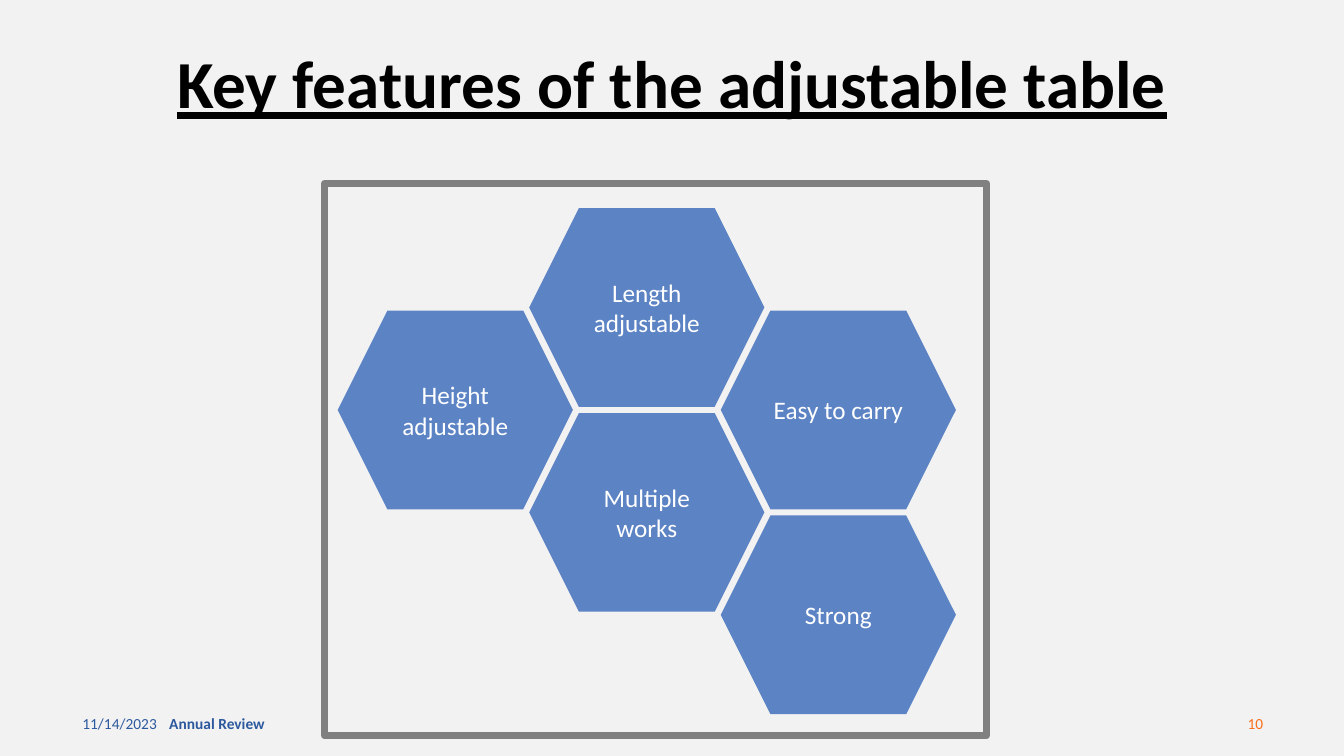
from pptx import Presentation
from pptx.dml.color import RGBColor
from pptx.enum.shapes import MSO_SHAPE
from pptx.enum.text import MSO_ANCHOR, PP_ALIGN
from pptx.util import Pt

COLORS = {
    "background": "F2F2F2",
    "title": "000000",
    "hexagon": "5C83C4",
    "label": "FFFFFF",
    "frame": "808080",
    "footer": "2C599D",
    "number": "FA6F1A",
}


def color(name):
    return RGBColor.from_string(COLORS[name])


def write(shape, text, size, color_name, align, bold=False):
    frame = shape.text_frame
    frame.word_wrap = True
    frame.vertical_anchor = MSO_ANCHOR.MIDDLE
    frame.text = text
    para = frame.paragraphs[0]
    para.alignment = align
    span = para.runs[0]
    span.font.name = "Calibri"
    span.font.size = Pt(size)
    span.font.bold = bold
    span.font.color.rgb = color(color_name)
    return para


deck = Presentation()
deck.slide_width, deck.slide_height = Pt(960), Pt(540)
page = deck.slides.add_slide(deck.slide_layouts[6])
page.background.fill.solid()
page.background.fill.fore_color.rgb = color("background")

# Footer
footers = [
    ("11/14/2023", 51.8, 216, "footer", PP_ALIGN.LEFT, False),
    ("Annual Review", 113.8, 324, "footer", PP_ALIGN.LEFT, True),
    ("10", 693.4, 216, "number", PP_ALIGN.RIGHT, False),
]
for text, left, width, color_name, align, bold in footers:
    box = page.shapes.add_textbox(Pt(left), Pt(502.6), Pt(width), Pt(28.8))
    write(box, text, 11, color_name, align, bold)

# Title
box = page.shapes.add_textbox(Pt(66), Pt(34.6), Pt(828), Pt(55.4))
para = write(box, "Key features of the adjustable table", 48, "title", PP_ALIGN.CENTER, True)
para.line_spacing = 0.9
para.runs[0].font.underline = True

# Honeycomb of features: column, and row in half-hexagon steps
features = [
    ("Height adjustable", 0, 1),
    ("Length adjustable", 1, 0),
    ("Multiple works", 1, 2),
    ("Strong", 2, 3),
    ("Easy to carry", 2, 1),
]
for text, column, row in features:
    left, top = 241.2 + 136.8 * column, 148.6 + 73.2 * row
    hexagon = page.shapes.add_shape(MSO_SHAPE.HEXAGON, Pt(left), Pt(top), Pt(168), Pt(142))
    hexagon.shadow.inherit = False
    hexagon.fill.solid()
    hexagon.fill.fore_color.rgb = color("hexagon")
    hexagon.line.fill.background()
    write(hexagon, text, 18, "label", PP_ALIGN.CENTER)

# Frame around the honeycomb
frame = page.shapes.add_shape(MSO_SHAPE.RECTANGLE, Pt(231.8), Pt(131), Pt(473), Pt(394.6))
frame.shadow.inherit = False
frame.fill.background()
frame.line.color.rgb = color("frame")
frame.line.width = Pt(4.75)

deck.save("out.pptx")
